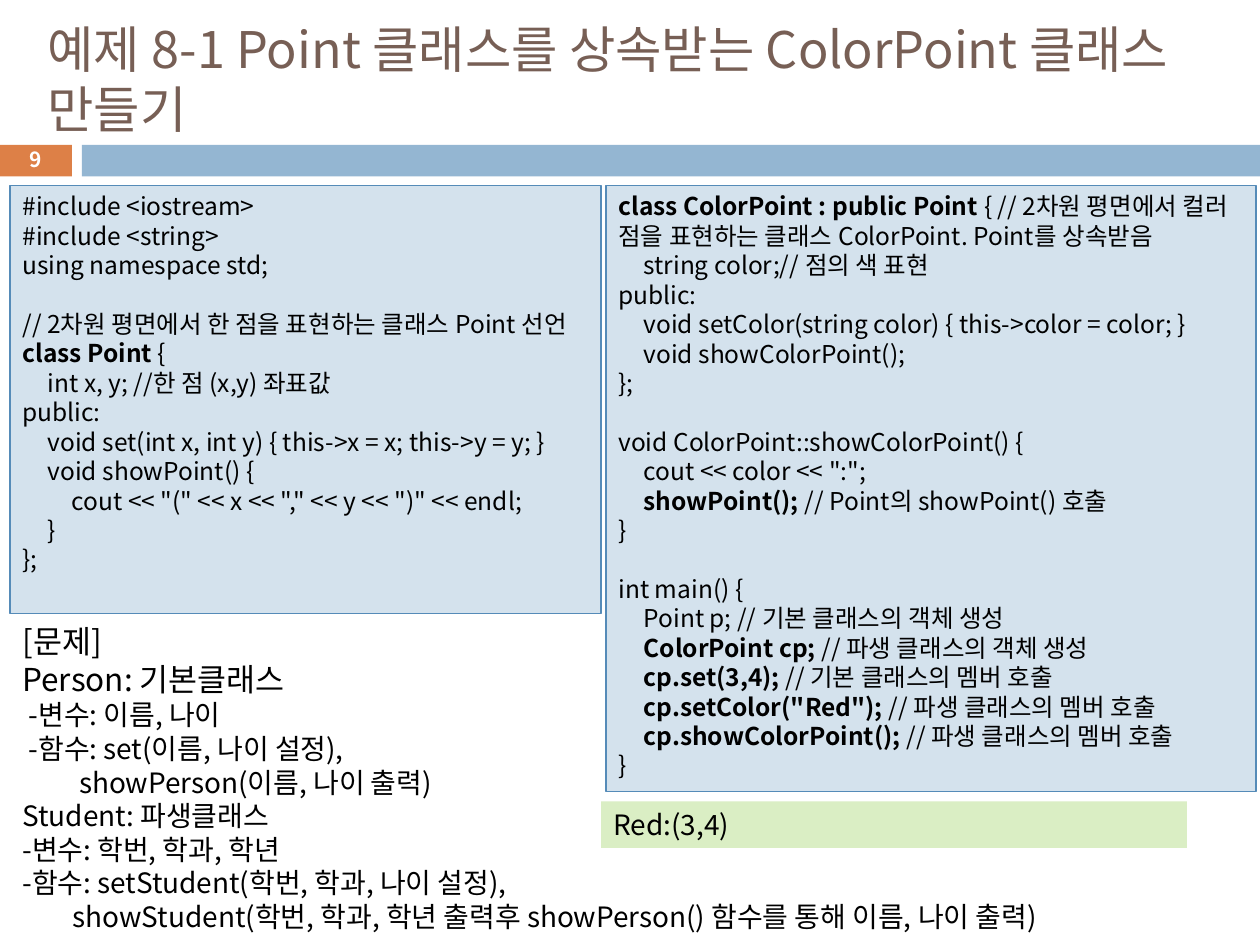
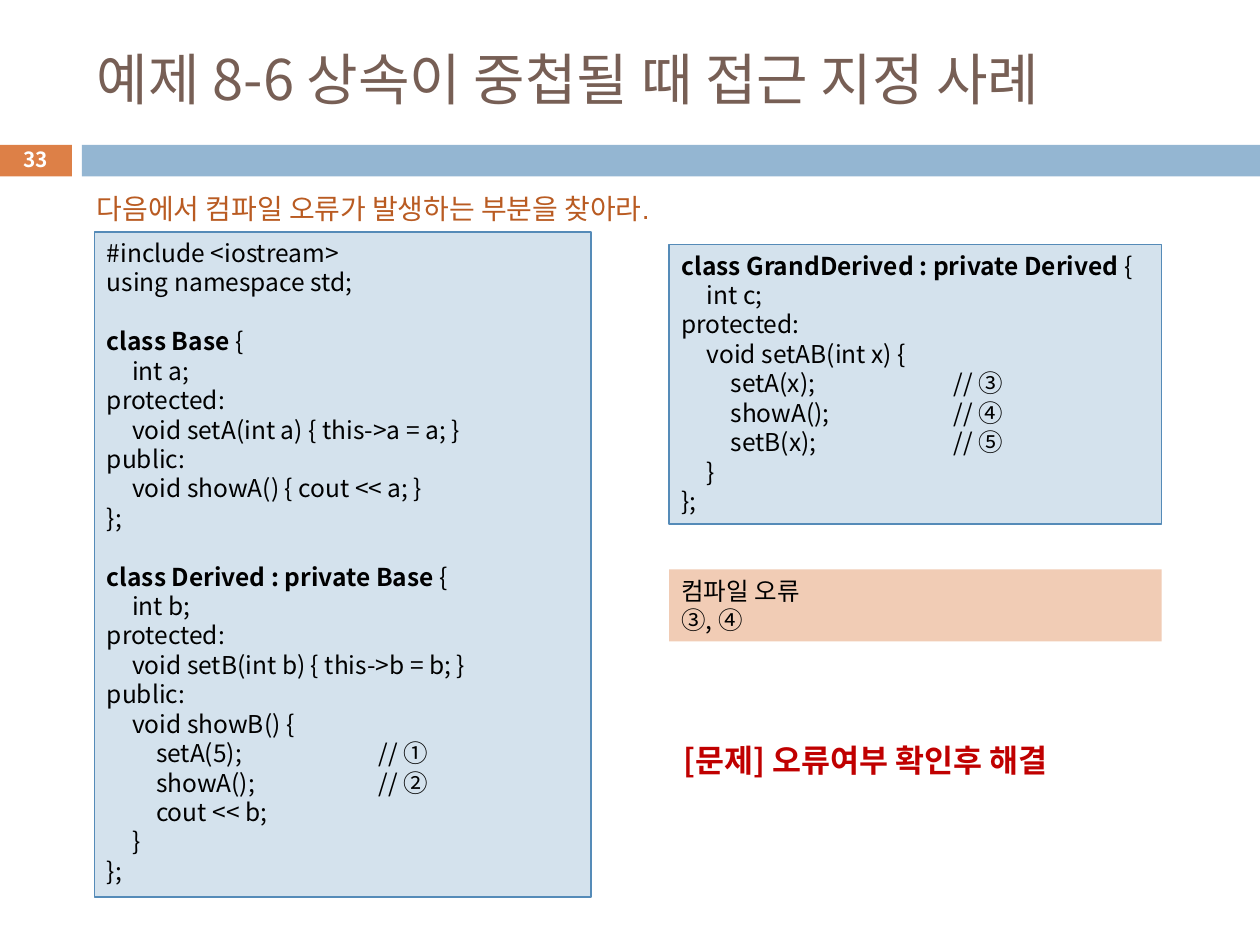
from lxml import etree
from pptx import Presentation
from pptx.dml.color import RGBColor
from pptx.enum.shapes import MSO_SHAPE
from pptx.enum.text import MSO_ANCHOR, PP_ALIGN
from pptx.oxml.ns import qn
from pptx.util import Inches, Pt

RECTANGLE = MSO_SHAPE.RECTANGLE
TOP, MIDDLE = MSO_ANCHOR.TOP, MSO_ANCHOR.MIDDLE
LEFT, CENTER = PP_ALIGN.LEFT, PP_ALIGN.CENTER

COLORS = {
    "title": "775F55", "number": "DD8047", "band": "94B6D2",
    "code": "D4E2ED", "code_line": "558BB8", "output": "DAEEC4",
    "answer": "F1CCB5", "question": "B95B22", "task": "C00000",
    "text": "000000", "white": "FFFFFF",
}
FONT = "Noto Sans CJK KR"
LINE_HEIGHT = 1.2
CODE_SIZE = 14
CODE_TABS = (0.2, 0.39, 2.16)  # two indent levels, then the comment column

POINT_CODE = """
#include <iostream>
#include <string>
using namespace std;

// 2차원 평면에서 한 점을 표현하는 클래스 Point 선언
**class Point **{
    int x, y; //한 점 (x,y) 좌표값
public:
    void set(int x, int y) { this->x = x; this->y = y; }
    void showPoint() {
        cout << "(" << x << "," << y << ")" << endl;
    }
};
"""
COLOR_POINT_CODE = """
**class ColorPoint : public Point **{ // 2차원 평면에서 컬러 점을 표현하는 클래스 ColorPoint. Point를 상속받음
    string color;// 점의 색 표현
public:
    void setColor(string color) { this->color = color; }
    void showColorPoint();
};

void ColorPoint::showColorPoint() {
    cout << color << ":";
    **showPoint(); **// Point의 showPoint() 호출
}

int main() {
    Point p; // 기본 클래스의 객체 생성
    **ColorPoint cp; **// 파생 클래스의 객체 생성
    **cp.set(3,4); **// 기본 클래스의 멤버 호출
    **cp.setColor("Red"); **// 파생 클래스의 멤버 호출
    **cp.showColorPoint(); **// 파생 클래스의 멤버 호출
}
"""
BASE_CODE = """
#include <iostream>
using namespace std;

**class Base **{
    int a;
protected:
    void setA(int a) { this->a = a; }
public:
    void showA() { cout << a; }
};

**class Derived : private Base **{
    int b;
protected:
    void setB(int b) { this->b = b; }
public:
    void showB() {
        setA(5);\t// ①
        showA();\t// ②
        cout << b;
    }
};
"""
GRAND_DERIVED_CODE = """
**class GrandDerived : private Derived **{
    int c;
protected:
    void setAB(int x) {
        setA(x);\t// ③
        showA();\t// ④
        setB(x);\t// ⑤
    }
};
"""
# Text, size, left indent in inches
EXERCISE = [
    ("[문제]", 18, 0),
    ("Person: 기본클래스", 18, 0),
    ("-변수: 이름, 나이", 16, 0.05),
    ("-함수: set(이름, 나이 설정),", 16, 0.05),
    ("showPerson(이름, 나이 출력)", 16, 0.45),
    ("Student: 파생클래스", 16, 0),
    ("-변수: 학번, 학과, 학년", 16, 0),
    ("-함수: setStudent(학번, 학과, 나이 설정),", 16, 0),
    ("showStudent(학번, 학과, 학년 출력후 showPerson() 함수를 통해 이름, 나이 출력)", 16, 0.4),
]


def rgb(name):
    return RGBColor.from_string(COLORS[name])


def add_box(page, box, fill=None, line=None, anchor=TOP):
    """Add a rectangle, or a plain text box when there is no fill."""
    place = [Inches(length) for length in box]
    if fill:
        shape = page.shapes.add_shape(RECTANGLE, *place)
        shape.shadow.inherit = False
        shape.fill.solid()
        shape.fill.fore_color.rgb = rgb(fill)
        if line:
            shape.line.color.rgb = rgb(line)
            shape.line.width = Pt(0.75)
        else:
            shape.line.fill.background()
    else:
        shape = page.shapes.add_textbox(*place)
    shape.text_frame.word_wrap = True
    shape.text_frame.vertical_anchor = anchor
    return shape.text_frame


def add_para(frame, size, align=LEFT, indent=0, gap=0):
    """Return the first paragraph while it is empty, else a new one."""
    first = frame.paragraphs[0]
    para = frame.add_paragraph() if first.runs else first
    para.alignment = align
    para.line_spacing = Pt(size * LINE_HEIGHT)
    if gap:
        para.space_before = Pt(gap)
    if indent:
        para._p.get_or_add_pPr().set("marL", str(Inches(indent)))
    return para


def add_span(para, text, size, color="text", bold=False, font=FONT):
    span = para.add_run()
    span.text = text
    span.font.size = Pt(size)
    span.font.bold = bold
    span.font.name = font
    span.font.color.rgb = rgb(color)
    east_asian = etree.SubElement(span.font._element, qn("a:ea"))
    east_asian.set("typeface", FONT)


def add_label(page, box, lines, size, color="text", bold=False, fill=None,
              anchor=TOP, align=LEFT, font=FONT):
    frame = add_box(page, box, fill, anchor=anchor)
    for line in lines:
        add_span(add_para(frame, size, align), line, size, color, bold, font)


def add_tabs(para):
    tabs = etree.SubElement(para._p.get_or_add_pPr(), qn("a:tabLst"))
    for position in CODE_TABS:
        etree.SubElement(tabs, qn("a:tab"), pos=str(Inches(position)), algn="l")


def add_code(page, box, code):
    """Fill a code panel; ** switches bold, an empty line becomes space."""
    frame = add_box(page, box, "code", "code_line")
    gap = 0
    for line in code.strip().split("\n"):
        if not line:
            gap = CODE_SIZE * LINE_HEIGHT
            continue
        para = add_para(frame, CODE_SIZE, gap=gap)
        add_tabs(para)
        gap = 0
        for index, part in enumerate(line.replace("    ", "\t").split("**")):
            if part:
                add_span(para, part, CODE_SIZE, bold=index % 2 == 1)


def add_exercise(page, box):
    frame = add_box(page, box)
    for text, size, indent in EXERCISE:
        add_span(add_para(frame, size, indent=indent), text, size)


def add_page(deck, title, number, title_left, title_size):
    """Start a slide with the title, number block and band."""
    page = deck.slides.add_slide(deck.slide_layouts[6])
    add_box(page, (-0.01, 1.15, 0.58, 0.25), "number")
    add_box(page, (0.65, 1.15, 9.35, 0.25), "band")
    add_label(page, (title_left, 0.25, 9.59 - title_left, 0.74), [title],
              title_size, "title", anchor=MIDDLE)
    add_label(page, (-0.01, 1.13, 0.58, 0.27), [number], 11.9, "white",
              bold=True, anchor=MIDDLE, align=CENTER)
    return page


def build_color_point(deck):
    page = add_page(deck, "예제 8-1 Point 클래스를 상속받는 ColorPoint 클래스 만들기",
                    "9", 0.28, 28.8)
    add_code(page, (0.08, 1.47, 4.69, 3.4), POINT_CODE)
    add_code(page, (4.81, 1.47, 5.16, 4.81), COLOR_POINT_CODE)
    add_label(page, (4.77, 6.36, 4.65, 0.37), ["Red:(3,4)"], 16, fill="output")
    add_exercise(page, (0.08, 4.89, 8.97, 2.59))


def build_nested_access(deck):
    page = add_page(deck, "예제 8-6 상속이 중첩될 때 접근 지정 사례", "33", 0.67, 32)
    add_code(page, (0.75, 1.84, 3.94, 5.28), BASE_CODE)
    add_code(page, (5.31, 1.94, 3.91, 2.22), GRAND_DERIVED_CODE)
    add_label(page, (0.67, 1.47, 5.13, 0.37),
              ["다음에서 컴파일 오류가 발생하는 부분을 찾아라."], 16, "question",
              font="Arial")
    add_label(page, (5.31, 4.52, 3.91, 0.57), ["컴파일 오류", "③, ④"],
              CODE_SIZE, fill="answer")
    add_label(page, (5.33, 5.83, 3.4, 0.4), ["[문제] 오류여부 확인후 해결"],
              18, "task", bold=True)


def main():
    deck = Presentation()
    deck.slide_width, deck.slide_height = Inches(10), Inches(7.5)
    build_color_point(deck)
    build_nested_access(deck)
    deck.save("out.pptx")


if __name__ == "__main__":
    main()
